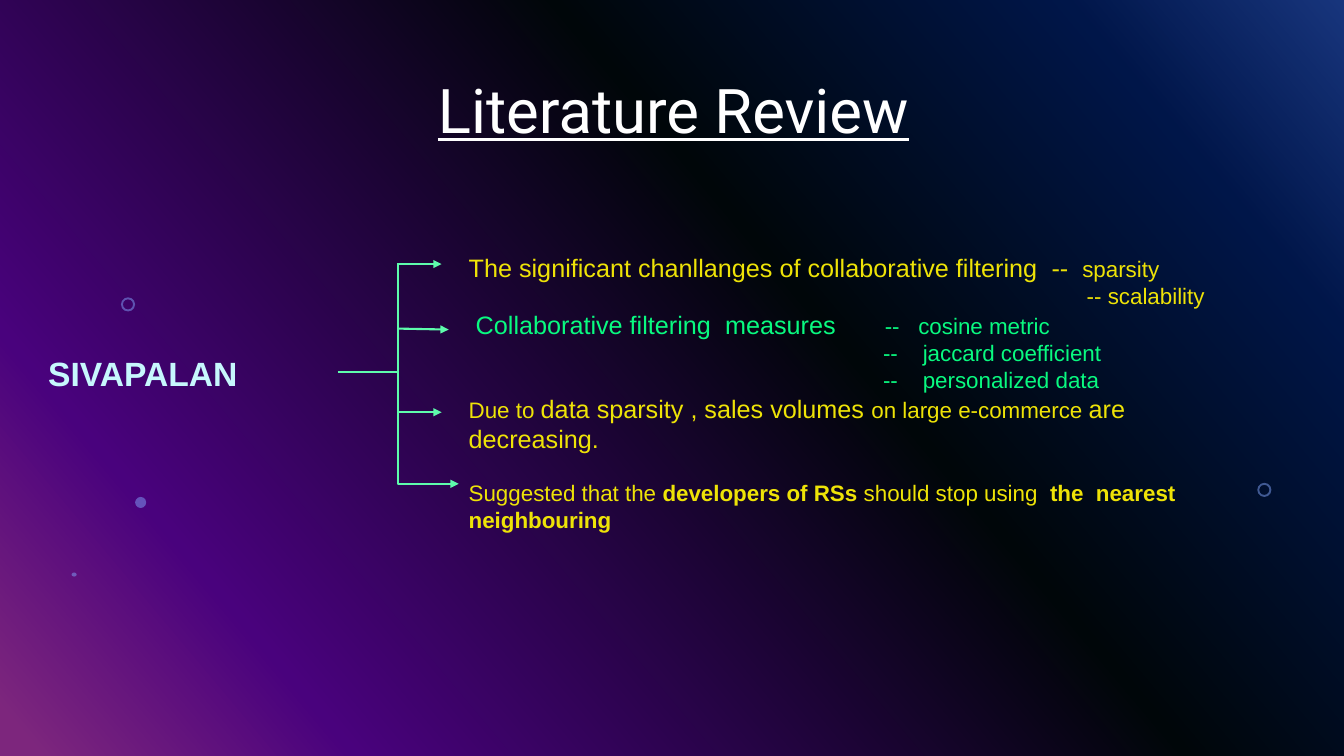
from lxml import etree
from pptx import Presentation
from pptx.dml.color import RGBColor
from pptx.enum.shapes import MSO_CONNECTOR, MSO_SHAPE
from pptx.enum.text import MSO_ANCHOR, PP_ALIGN
from pptx.oxml.ns import qn
from pptx.util import Inches, Pt

STRAIGHT, ELBOW = MSO_CONNECTOR.STRAIGHT, MSO_CONNECTOR.ELBOW
RECT, OVAL, DONUT = MSO_SHAPE.RECTANGLE, MSO_SHAPE.OVAL, MSO_SHAPE.DONUT
MIDDLE, CENTER = MSO_ANCHOR.MIDDLE, PP_ALIGN.CENTER

COLORS = {
    "white": "FFFFFF", "black": "000000", "yellow": "EEE307",
    "green": "09FA80", "mint": "5EFCAC", "ice": "C7F7FD", "dot": "83A7FD",
}
GRADIENT = [(0, "316CFC"), (14, "022D94"), (40, "020D13"), (82, "9405FC"), (98, "FC4EFB")]
GRADIENT_ANGLE = 140

DECORATIONS = [
    (DONUT, 1.2, 2.95, 0.14, 0.14),
    (OVAL, 1.34, 4.93, 0.11, 0.11),
    (DONUT, 12.47, 4.79, 0.14, 0.14),
    (OVAL, 0.71, 5.68, 0.05, 0.04),
]

TITLE = "Literature Review"
AUTHOR = "SIVAPALAN"

# color, left margin, space before, runs (text, size, bold, extra width of a space in points)
FINDINGS = [
    ("yellow", 0, 0, [
        ("The significant chanllanges of collaborative filtering", 18, False, 0),
        (" ", 18, False, 5), ("--", 18, False, 0), (" ", 18, False, 5),
        ("sparsity", 16, False, 0)]),
    ("yellow", 6.13, 0, [("-- scalability", 16, False, 0)]),
    ("green", 0.07, 0, [
        ("Collaborative filtering", 18, False, 0), (" ", 18, False, 5),
        ("measures", 18, False, 0), (" ", 18, False, 30),
        ("--", 16, False, 0), (" ", 16, False, 8.9), ("cosine metric", 16, False, 0)]),
    ("green", 4.11, 0, [
        ("--", 16, False, 0), (" ", 16, False, 13.3), ("jaccard coefficient", 16, False, 0)]),
    ("green", 4.11, 0, [
        ("--", 16, False, 0), (" ", 16, False, 13.3), ("personalized data", 16, False, 0)]),
    ("yellow", 0, 0, [
        ("Due to ", 16, False, 0), ("data sparsity , sales volumes ", 18, False, 0),
        ("on large e-commerce ", 16, False, 0), ("are decreasing.", 18, False, 0)]),
    ("yellow", 0, 18.4, [
        ("Suggested that the ", 16, False, 0), ("developers of RSs ", 16, True, 0),
        ("should stop using", 16, False, 0), (" ", 16, False, 4.4),
        ("the", 16, True, 0), (" ", 16, True, 4.4), ("nearest neighbouring", 16, True, 0)]),
]

TRUNK_X = 3.95
CONNECTORS = [
    (ELBOW, 3.35, 3.69, 4.55, 4.8, True),
    (STRAIGHT, TRUNK_X, 2.61, TRUNK_X, 3.7, False),
    (STRAIGHT, TRUNK_X, 2.62, 4.38, 2.62, True),
    (STRAIGHT, TRUNK_X, 3.26, 4.45, 3.27, True),
    (STRAIGHT, TRUNK_X, 4.09, 4.38, 4.09, True),
]


def rgb(name):
    return RGBColor.from_string(COLORS[name])


def add_background(s):
    fill = s.background.fill
    fill.gradient()
    fill.gradient_angle = 360 - GRADIENT_ANGLE
    stops = s.element.find(".//" + qn("a:gsLst"))
    for stop in list(stops):
        stops.remove(stop)
    for position, color in GRADIENT:
        stop = etree.SubElement(stops, qn("a:gs"), pos=str(position * 1000))
        etree.SubElement(stop, qn("a:srgbClr"), val=color)


def add_veil(s, kind, box, color, opacity):
    sp = s.shapes.add_shape(kind, *map(Inches, box))
    sp.shadow.inherit = False
    sp.fill.solid()
    sp.fill.fore_color.rgb = rgb(color)
    sp.line.fill.background()
    clr = sp._element.spPr.find(".//" + qn("a:srgbClr"))
    etree.SubElement(clr, qn("a:alpha"), val=str(opacity * 1000))
    return sp


def add_text_frame(s, *box):
    tf = s.shapes.add_textbox(*map(Inches, box)).text_frame
    tf.word_wrap = True
    return tf


def add_run(p, text, size, color, font="Arial", bold=False, spacing=0):
    r = p.add_run()
    r.text = text
    r.font.name = font
    r.font.size = Pt(size)
    r.font.bold = bold
    r.font.color.rgb = rgb(color)
    if spacing:
        r._r.get_or_add_rPr().set("spc", str(round(spacing * 100)))
    return r


def add_findings(s):
    tf = add_text_frame(s, 4.55, 2.45, 7.98, 3)
    for i, (color, margin, before, runs) in enumerate(FINDINGS):
        p = tf.paragraphs[0] if i == 0 else tf.add_paragraph()
        p.space_before = Pt(before)
        pPr = p._p.get_or_add_pPr()
        pPr.set("marL", str(Inches(margin)))
        pPr.set("indent", "0")
        for text, size, bold, spacing in runs:
            add_run(p, text, size, color, bold=bold, spacing=spacing)


def add_connector(s, kind, x1, y1, x2, y2, arrow):
    c = s.shapes.add_connector(kind, *map(Inches, (x1, y1, x2, y2)))
    c.line.color.rgb = rgb("mint")
    c.line.width = Pt(1.5)
    spPr = c._element.spPr
    if arrow:
        etree.SubElement(spPr.find(qn("a:ln")), qn("a:tailEnd"), type="triangle")
    etree.SubElement(spPr, qn("a:effectLst"))


def main():
    prs = Presentation()
    prs.slide_width, prs.slide_height = Inches(13.33), Inches(7.5)
    s = prs.slides.add_slide(prs.slide_layouts[6])
    add_background(s)
    add_veil(s, RECT, (0, 0, 13.33, 7.5), "black", 50)
    for kind, *box in DECORATIONS:
        sp = add_veil(s, kind, box, "dot", 49)
        if kind == DONUT:
            sp.adjustments[0] = 0.14

    tf = add_text_frame(s, 0.93, 0.4, 11.5, 1.45)
    tf.vertical_anchor = MIDDLE
    p = tf.paragraphs[0]
    p.alignment = CENTER
    p.line_spacing = 0.9
    add_run(p, TITLE, 44, "white", "Roboto").font.underline = True

    add_findings(s)
    for connector in CONNECTORS:
        add_connector(s, *connector)
    p = add_text_frame(s, 0.38, 3.45, 6.67, 0.5).paragraphs[0]
    add_run(p, AUTHOR, 24, "ice", bold=True)
    prs.save("out.pptx")


if __name__ == "__main__":
    main()
